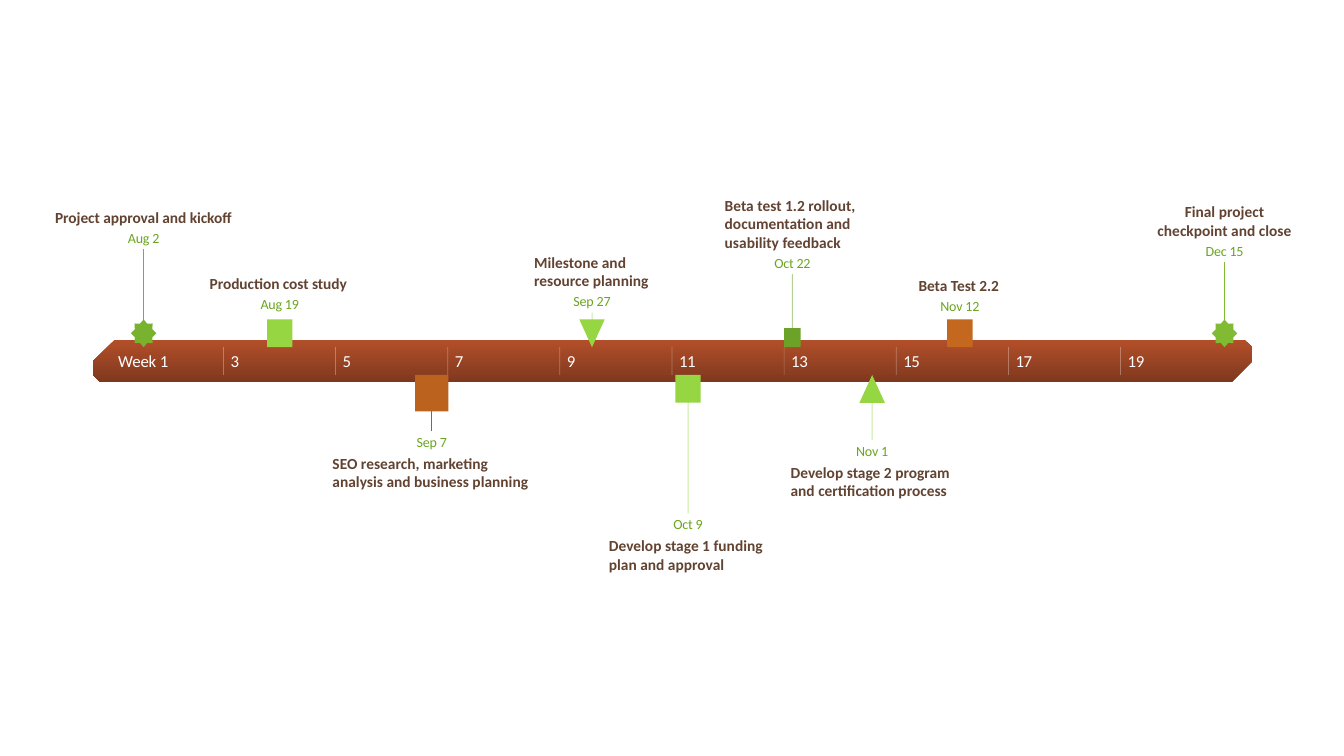
from collections import namedtuple

from lxml.etree import SubElement
from pptx import Presentation
from pptx.dml.color import RGBColor
from pptx.enum.shapes import MSO_CONNECTOR, MSO_SHAPE as SHAPE
from pptx.enum.text import MSO_ANCHOR as ANCHOR, MSO_AUTO_SIZE as AUTO, PP_ALIGN as ALIGN
from pptx.oxml.ns import qn
from pptx.util import Cm, Pt

FONT = "Calibri"
WHITE, BROWN, GREEN, LIME = "FFFFFF", "624332", "6BA51F", "96D642"

# Heights and spacings in centimetres
MARKER_BOTTOM = 8.75   # markers above the band
MARKER_TOP = 9.45      # markers below the band
GAP = 0.06
DATE_H, DATE_STEP = 0.43, 0.51
LABEL_LINE_H = 0.47
FIRST_TICK, LAST_TICK = 5.63, 28.24
WEEKS = range(3, 20, 2)
NORMAL, SMALL, LARGE = (0.64, 0.7), (0.42, 0.48), (0.84, 0.92)

Milestone = namedtuple(
    "Milestone",
    "label date x date_y label_w lines shape size fill stem opacity above align",
    defaults=[None, 100, True, ALIGN.LEFT])

MILESTONES = [
    Milestone("Project approval and kickoff", "Aug 2", 3.62, 5.77, 4.6, 1,
              SHAPE.STAR_8_POINT, NORMAL, "79B22E", "79B22E", align=ALIGN.CENTER),
    Milestone("Production cost study", "Aug 19", 7.05, 7.44, 3.53, 1,
              SHAPE.RECTANGLE, NORMAL, LIME),
    Milestone("Milestone and resource planning", "Sep 27", 14.92, 7.37, 2.92, 2,
              SHAPE.ISOSCELES_TRIANGLE, NORMAL, LIME, LIME, 50),
    Milestone("Beta test 1.2 rollout, documentation and usability feedback", "Oct 22",
              19.97, 6.4, 3.41, 3, SHAPE.RECTANGLE, SMALL, "6DA228", "6DA228", 50),
    Milestone("Beta Test 2.2", "Nov 12", 24.19, 7.49, 2.08, 1,
              SHAPE.RECTANGLE, NORMAL, "C46820"),
    Milestone("Final project checkpoint and close", "Dec 15", 30.86, 6.1, 3.41, 2,
              SHAPE.STAR_8_POINT, NORMAL, "81BB34", "81BB34", align=ALIGN.CENTER),
    Milestone("SEO research, marketing analysis and business planning", "Sep 7",
              10.88, 10.92, 5, 2, SHAPE.RECTANGLE, LARGE, "BA621E", "B1542C", above=False),
    Milestone("Develop stage 1 funding plan and approval", "Oct 9", 17.34, 13, 3.99, 2,
              SHAPE.RECTANGLE, NORMAL, LIME, LIME, 50, above=False),
    Milestone("Develop stage 2 program and certification process", "Nov 1",
              21.98, 11.15, 4.11, 2, SHAPE.ISOSCELES_TRIANGLE, NORMAL, LIME, LIME, 50,
              above=False),
]


def set_color(color, value):
    color.rgb = RGBColor.from_string(value)


def add_vline(s, x, top, bottom, color, width, opacity=100):
    line = s.shapes.add_connector(MSO_CONNECTOR.STRAIGHT, Cm(x), Cm(top), Cm(x), Cm(bottom))
    line.line.width = Pt(width)
    set_color(line.line.color, color)
    sp_pr = line.element.spPr
    if opacity < 100:
        srgb = next(sp_pr.iter(qn("a:srgbClr")))
        SubElement(srgb, qn("a:alpha")).set("val", str(opacity * 1000))
    SubElement(sp_pr, qn("a:effectLst"))


def add_shape(s, kind, x, y, w, h):
    sp = s.shapes.add_shape(kind, Cm(x), Cm(y), Cm(w), Cm(h))
    sp.shadow.inherit = False
    sp.line.fill.background()
    return sp


def add_text(s, text, x, y, w, h, size, color, bold=False, align=ALIGN.LEFT,
             wrap=True, auto=AUTO.NONE, spacing=0):
    tf = s.shapes.add_textbox(Cm(x), Cm(y), Cm(w), Cm(h)).text_frame
    tf.margin_left = tf.margin_right = tf.margin_top = tf.margin_bottom = 0
    tf.word_wrap, tf.auto_size, tf.vertical_anchor = wrap, auto, ANCHOR.MIDDLE
    tf.text = text
    p = tf.paragraphs[0]
    p.alignment = align
    r = p.runs[0]
    r.font.name, r.font.size, r.font.bold = FONT, Pt(size), bold
    set_color(r.font.color, color)
    if spacing:
        r.font._element.set("spc", str(spacing))


def add_band(s):
    band = add_shape(s, SHAPE.SNIP_2_DIAG_RECTANGLE, 2.35, 8.57, 29.21, 1.06)
    band.adjustments[0], band.adjustments[1] = 1, 0.167
    band.fill.gradient()
    band.fill.gradient_angle = 270
    for stop, position, color in zip(band.fill.gradient_stops, (0, 1), ("B24F29", "7F381E")):
        stop.position = position
        set_color(stop.color, color)


def add_week(s, text, x, w, spacing):
    add_text(s, text, x, 8.84, w, 0.51, 12, WHITE, wrap=False, spacing=spacing)


def add_weeks(s):
    add_week(s, "Week 1", 2.98, 1.3, -10)
    step = (LAST_TICK - FIRST_TICK) / (len(WEEKS) - 1)
    for i, week in enumerate(WEEKS):
        x = FIRST_TICK + i * step
        add_vline(s, x, 8.75, 9.45, WHITE, 0.5, 30)
        add_week(s, str(week), x + 0.18, 0.21 * len(str(week)), -30)


def add_stem(s, m):
    if m.above:
        top, bottom = m.date_y + DATE_STEP, MARKER_BOTTOM - m.size[1] / 2
    else:
        top, bottom = MARKER_TOP + m.size[1] / 2, m.date_y - GAP
    add_vline(s, m.x, top, bottom, m.stem, 0.75, m.opacity)


def add_milestone(s, m):
    # Label and date, centred on the marker
    label_h = LABEL_LINE_H * m.lines
    label_y = m.date_y - GAP - label_h if m.above else m.date_y + DATE_STEP
    add_text(s, m.label, m.x - m.label_w / 2, label_y, m.label_w, label_h, 11, BROWN,
             bold=True, align=m.align, spacing=-5 if m.lines == 1 else 0)
    date_w = 0.17 * len(m.date)
    add_text(s, m.date, m.x - date_w / 2, m.date_y, date_w, DATE_H, 10, GREEN,
             align=ALIGN.CENTER, auto=AUTO.SHAPE_TO_FIT_TEXT, spacing=-10)

    # Marker
    w, h = m.size
    marker = add_shape(s, m.shape, m.x - w / 2,
                       MARKER_BOTTOM - h if m.above else MARKER_TOP, w, h)
    marker.fill.solid()
    set_color(marker.fill.fore_color, m.fill)
    if m.above and m.shape == SHAPE.ISOSCELES_TRIANGLE:
        marker.element.spPr.find(qn("a:xfrm")).set("flipV", "1")


def main():
    prs = Presentation()
    prs.slide_width, prs.slide_height = Cm(33.87), Cm(19.05)
    s = prs.slides.add_slide(prs.slide_layouts[6])

    # Stems lie behind the band
    for m in MILESTONES:
        if m.stem:
            add_stem(s, m)

    # Time band
    add_band(s)
    add_weeks(s)

    # Milestones
    for m in MILESTONES:
        add_milestone(s, m)

    prs.save("out.pptx")


if __name__ == "__main__":
    main()
